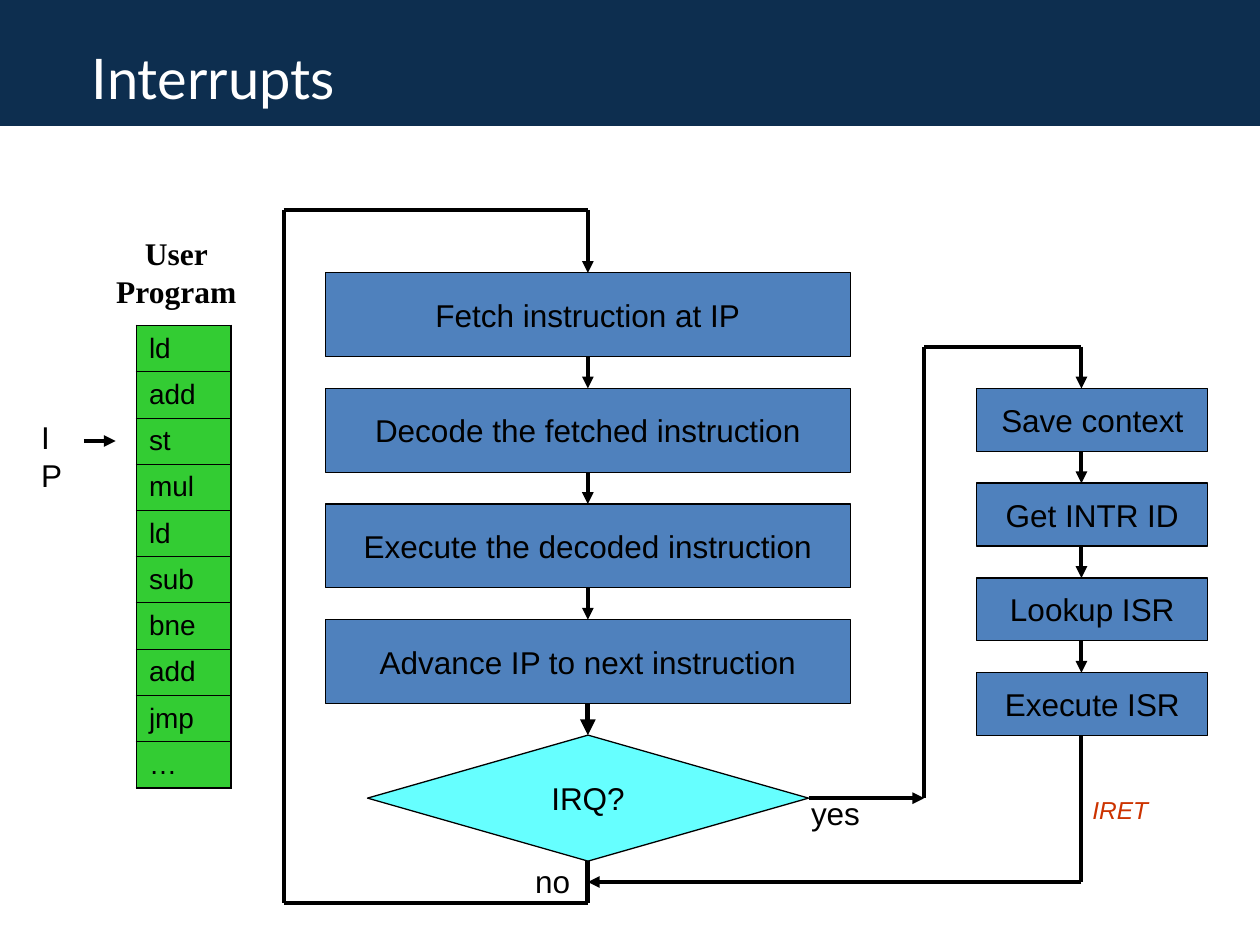
"""Build a slide on how interrupts join the fetch and execute loop."""
from itertools import pairwise
from lxml.etree import SubElement
from pptx import Presentation
from pptx.dml.color import RGBColor
from pptx.enum.shapes import MSO_CONNECTOR, MSO_SHAPE
from pptx.enum.text import MSO_ANCHOR, PP_ALIGN
from pptx.oxml.ns import qn
from pptx.util import Cm, Pt

NAVY = RGBColor(0x0D, 0x2E, 0x4F)
BLUE = RGBColor(0x4F, 0x81, 0xBD)
CYAN = RGBColor(0x66, 0xFF, 0xFF)
GREEN = RGBColor(0x33, 0xCC, 0x33)
RED = RGBColor(0xCC, 0x33, 0x00)
BLACK = RGBColor(0, 0, 0)
WHITE = RGBColor(255, 255, 255)

CODE = ["ld", "add", "st", "mul", "ld", "sub", "bne", "add", "jmp", "…"]
STEPS = ["Fetch instruction at IP", "Decode the fetched instruction",
         "Execute the decoded instruction", "Advance IP to next instruction"]
TASKS = ["Save context", "Get INTR ID", "Lookup ISR", "Execute ISR"]

MID, SIDE = 11.85, 21.8
STACKS = [
    (STEPS, 6.56, 5.5, 10.58, 1.69, 2.33, MID),
    (TASKS, 19.69, 7.83, 4.66, 1.27, 1.91, SIDE),
]
IRQ = (7.41, 14.82, 8.89, 2.54)
PATHS = [
    ([(MID, 14.18), (MID, 14.82)], 3, True),
    ([(MID, 17.36), (MID, 18.2)], 3, False),
    ([(MID, 18.2), (5.72, 18.2), (5.72, 4.23), (MID, 4.23), (MID, 5.5)], 2.25, True),
    ([(16.3, 16.09), (18.63, 16.09)], 2.25, True),
    ([(18.63, 16.09), (18.63, 6.99), (SIDE, 6.99), (SIDE, 7.83)], 2.25, True),
    ([(SIDE, 14.82), (SIDE, 17.78), (MID, 17.78)], 2.25, True),
    ([(1.69, 8.89), (2.33, 8.89)], 2.25, True),
]
NOTES = [
    ("no", (10.54, 17.25, 1.22, 1.02), {}),
    ("yes", (16.1, 15.88, 1.5, 1.02), {}),
    ("IP", (0.58, 8.31, 1.09, 1.02), {}),
    ("IRET", (21.77, 15.9, 1.63, 0.86), {"size": 14, "color": RED, "italic": True}),
    ("User\nProgram", (2.08, 4.6, 2.95, 1.78),
     {"face": "Times New Roman", "bold": True, "align": PP_ALIGN.CENTER}),
]


def write(frame, text, size=18, color=BLACK, face="Arial", bold=False,
          italic=False, align=PP_ALIGN.LEFT):
    frame.text = text
    for para in frame.paragraphs:
        para.alignment = align
        for run in para.runs:
            font = run.font
            font.name, font.size, font.color.rgb = face, Pt(size), color
            font.bold, font.italic = bold, italic


def block(slide, kind, place, fill, text="", edge=True):
    shape = slide.shapes.add_shape(kind, *map(Cm, place))
    shape.shadow.inherit = False
    shape.fill.solid()
    shape.fill.fore_color.rgb = fill
    if edge:
        shape.line.color.rgb, shape.line.width = BLACK, Pt(0.75)
    else:
        shape.line.fill.background()
    if text:
        shape.text_frame.word_wrap = False
        shape.text_frame.vertical_anchor = MSO_ANCHOR.MIDDLE
        write(shape.text_frame, text, align=PP_ALIGN.CENTER)


def label(slide, text, place, style):
    frame = slide.shapes.add_textbox(*map(Cm, place)).text_frame
    frame.word_wrap = False
    write(frame, text, **style)
    return frame


def route(slide, points, width, arrow):
    for start, end in pairwise(points):
        line = slide.shapes.add_connector(
            MSO_CONNECTOR.STRAIGHT, *map(Cm, start + end))
        line.line.color.rgb, line.line.width = BLACK, Pt(width)
        if arrow and end == points[-1]:
            SubElement(line.line._get_or_add_ln(), qn("a:tailEnd"), type="triangle")
        SubElement(line._element.spPr, qn("a:effectLst"))


def border(cell, widths):
    props = cell._tc.get_or_add_tcPr()
    for side, width in zip("LRTB", widths):
        edge = SubElement(props, qn(f"a:ln{side}"), w=str(Pt(width)))
        fill = SubElement(edge, qn("a:solidFill"))
        SubElement(fill, qn("a:srgbClr"), val=str(BLACK))


def listing(slide, left, top, width, step):
    count = len(CODE)
    table = slide.shapes.add_table(
        count, 1, *map(Cm, (left, top, width, step * count))).table
    table.first_row = table.horz_banding = False
    for i, word in enumerate(CODE):
        table.rows[i].height = Cm(step)
        cell = table.cell(i, 0)
        border(cell, (1.08, 1.08, 1.08 if i == 0 else 0.45,
                      1.08 if i == count - 1 else 0.45))
        cell.fill.solid()
        cell.fill.fore_color.rgb = GREEN
        cell.vertical_anchor = MSO_ANCHOR.MIDDLE
        write(cell.text_frame, word, size=16)


def main():
    deck = Presentation()
    deck.slide_width, deck.slide_height = Cm(25.4), Cm(19.05)
    slide = deck.slides.add_slide(deck.slide_layouts[6])
    block(slide, MSO_SHAPE.RECTANGLE, (0, 0, 25.4, 2.54), NAVY, edge=False)
    for names, left, top, width, height, step, axis in STACKS:
        for i, name in enumerate(names):
            y = top + i * step
            block(slide, MSO_SHAPE.RECTANGLE, (left, y, width, height), BLUE, name)
            if i:
                route(slide, [(axis, y - step + height), (axis, y)], 2.25, True)
    block(slide, MSO_SHAPE.DIAMOND, IRQ, CYAN, "IRQ?")
    for path in PATHS:
        route(slide, *path)
    for note in NOTES:
        label(slide, *note)
    listing(slide, 2.75, 6.56, 1.9, 0.93)
    title = label(slide, "Interrupts", (1.6, 0.76, 19.69, 1.6),
                  {"size": 32, "color": WHITE, "face": "Lato"})
    title.word_wrap = True
    title.vertical_anchor = MSO_ANCHOR.MIDDLE
    deck.save("out.pptx")


if __name__ == "__main__":
    main()
